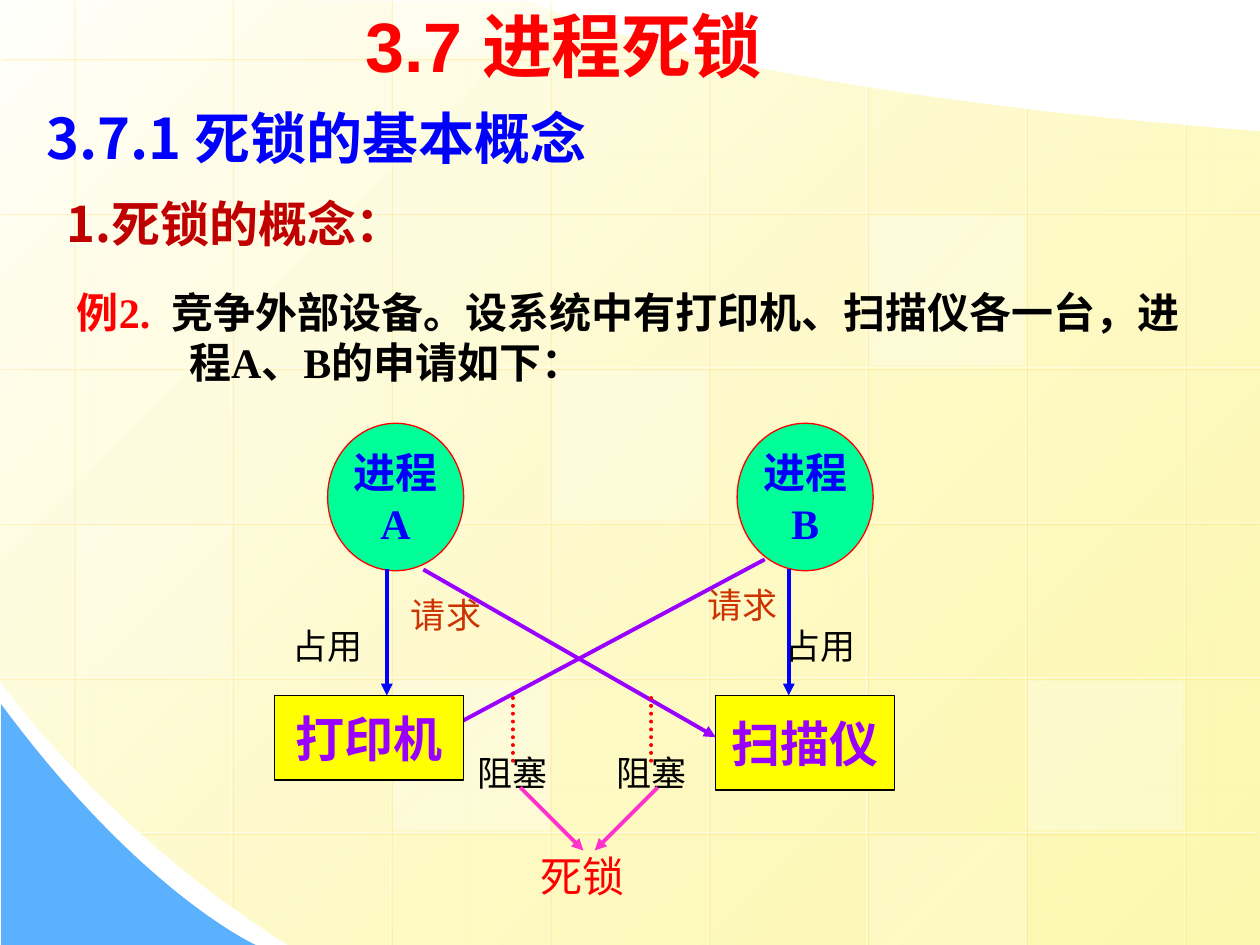
from lxml.etree import SubElement
from pptx import Presentation
from pptx.dml.color import RGBColor
from pptx.enum.dml import MSO_LINE
from pptx.enum.shapes import MSO_CONNECTOR, MSO_SHAPE
from pptx.enum.text import MSO_ANCHOR, MSO_AUTO_SIZE, PP_ALIGN
from pptx.oxml.ns import qn
from pptx.util import Inches, Pt

COLORS = {
    "white": "FFFFFF", "cream": "FFFFFB", "lemon": "FDF58D", "sky": "5CB1FE",
    "gold": "FFCC00", "red": "FF0000", "dark_red": "C00000", "rust": "CC3300",
    "blue": "0000FF", "purple": "9900FF", "pink": "FF33CC", "black": "000000",
    "yellow": "FFFF00", "green": "00FF99",
}
SERIF, SANS, CJK = "Times New Roman", "Arial", "Noto Sans CJK SC"


def rgb(name):
    return RGBColor.from_string(COLORS[name])


def set_alpha(fill_element, percent):
    for clr in fill_element.iter(qn("a:srgbClr")):
        SubElement(clr, qn("a:alpha"), val=str(percent * 1000))


def add_text(p, text, size=20, color="black", bold=False, font=SERIF):
    r = p.add_run()
    r.text = text
    r.font.size, r.font.bold, r.font.name = Pt(size), bold, font
    r.font.color.rgb = rgb(color)
    SubElement(r.font._element, qn("a:ea"), typeface=CJK)


def curve(p0, p1, p2, p3, steps=40):
    for i in range(1, steps + 1):
        t = i / steps
        u = 1 - t
        yield tuple(u**3 * a + 3 * u * u * t * b + 3 * u * t * t * c + t**3 * d
                    for a, b, c, d in zip(p0, p1, p2, p3))


class SlideBuilder:
    def __init__(self, prs):
        self.slide = prs.slides.add_slide(prs.slide_layouts[1])
        self.shapes = self.slide.shapes

    def outline(self, points):
        pts = [(Inches(x), Inches(y)) for x, y in points]
        builder = self.shapes.build_freeform(*pts[0])
        builder.add_line_segments(pts[1:], close=True)
        sp = builder.convert_to_shape()
        sp.shadow.inherit = False
        sp.line.fill.background()
        return sp

    def box(self, kind, x, y, w, h, fill, line=None, alpha=None):
        sp = self.shapes.add_shape(kind, Inches(x), Inches(y), Inches(w), Inches(h))
        sp.shadow.inherit = False
        sp.fill.solid()
        sp.fill.fore_color.rgb = rgb(fill)
        if alpha is not None:
            set_alpha(sp._element.spPr.find(qn("a:solidFill")), alpha)
        if line:
            sp.line.color.rgb = rgb(line)
            sp.line.width = Pt(0.75)
        else:
            sp.line.fill.background()
        return sp

    def node(self, kind, x, y, w, h, text, fill, line, **fmt):
        sp = self.box(kind, x, y, w, h, fill, line)
        self.fill_centered(sp.text_frame, text, bold=True, **fmt)

    def fill_centered(self, tf, text, **fmt):
        tf.word_wrap = False
        tf.vertical_anchor = MSO_ANCHOR.MIDDLE
        for i, part in enumerate(text.split("\n")):
            p = tf.add_paragraph() if i else tf.paragraphs[0]
            p.alignment = PP_ALIGN.CENTER
            add_text(p, part, **fmt)

    def label(self, center_x, center_y, text, size=20, **fmt):
        w, h = len(text) * size / 72 + 0.1, 0.5
        sp = self.shapes.add_textbox(Inches(center_x - w / 2),
                                     Inches(center_y - h / 2), Inches(w), Inches(h))
        tf = sp.text_frame
        tf.margin_left = tf.margin_right = tf.margin_top = tf.margin_bottom = 0
        self.fill_centered(tf, text, size=size, **fmt)

    def heading(self, x, y, w, h, runs, sp=None, anchor=MSO_ANCHOR.MIDDLE,
                hanging=0, spacing=1.0):
        if sp is None:
            sp = self.shapes.add_textbox(0, 0, 0, 0)
        self.shapes._spTree.append(sp._element)
        sp.left, sp.top, sp.width, sp.height = map(Inches, (x, y, w, h))
        tf = sp.text_frame
        tf.word_wrap = True
        tf.auto_size = MSO_AUTO_SIZE.NONE
        tf.vertical_anchor = anchor
        p = tf.paragraphs[0]
        pPr = p._p.get_or_add_pPr()
        pPr.set("marL", str(Inches(hanging)))
        pPr.set("indent", str(-Inches(hanging)))
        SubElement(pPr, qn("a:buNone"))
        p.alignment = PP_ALIGN.LEFT
        p.space_before = Pt(0)
        p.line_spacing = spacing
        for text, fmt in runs:
            add_text(p, text, bold=True, **fmt)

    def line(self, x1, y1, x2, y2, color, width=2.25, arrow=True, dash=None):
        c = self.shapes.add_connector(MSO_CONNECTOR.STRAIGHT, Inches(x1),
                                      Inches(y1), Inches(x2), Inches(y2))
        c.line.color.rgb = rgb(color)
        c.line.width = Pt(width)
        if dash:
            c.line.dash_style = dash
            c.line._get_or_add_ln().set("cap", "rnd")
        if arrow:
            SubElement(c.line._get_or_add_ln(), qn("a:tailEnd"), type="triangle")
        return c, SubElement(c._element.spPr, qn("a:effectLst"))

    def grid_line(self, *ends):
        c, effects = self.line(*ends, "white", width=0.75, arrow=False)
        set_alpha(c.line._get_or_add_ln(), 50)
        shadow = SubElement(effects, qn("a:outerShdw"), dist=str(Pt(1.4)),
                            dir="2700000", algn="ctr", rotWithShape="0")
        SubElement(shadow, qn("a:srgbClr"), val=COLORS["gold"])
        set_alpha(shadow, 34)

    def background(self):
        panel = self.outline([
            (10, 1.04), (10, 7.5), (2.3, 7.5),
            *curve((2.3, 7.5), (0.86, 6.61), (-0.01, 5.39), (0, 5.39)),
            (-0.01, -0.01), (4.21, 0.01),
            *curve((4.21, 0.01), (4.21, 0.01), (5.37, 0.69), (10, 1.04))])
        panel.fill.gradient()
        panel.fill.gradient_angle = 315
        for stop, color in zip(panel.fill.gradient_stops, ("cream", "lemon")):
            stop.color.rgb = rgb(color)
        set_alpha(panel._element.spPr.findall(".//" + qn("a:gs"))[1], 70)

        corner = self.outline([
            (0.01, 5.59), (0.01, 7.5), (2.03, 7.5),
            *curve((2.03, 7.5), (2.03, 7.5), (1.12, 7.09), (0.01, 5.59))])
        corner.fill.solid()
        corner.fill.fore_color.rgb = rgb("sky")

        x0, y0, dx, dy = 0.58, 0.46, 1.26, 1.23
        spans = [(0, 6.09), (0, 7.19), (0, 7.5), (0, 7.5),
                 (0.43, 7.5), (0.68, 7.5), (0.85, 7.5), (0.98, 7.5)]
        for i, (top, bottom) in enumerate(spans):
            self.grid_line(x0 + i * dx, top, x0 + i * dx, bottom)
        spans = [(5.68, 0), (10, 0), (10, 0), (10, 0), (10, 0), (9.97, 1.11)]
        for i, (right, left) in enumerate(spans):
            self.grid_line(right, y0 + i * dy, left, y0 + i * dy)
        for col, row, alpha in [(3, 2, 25), (6, 4, 30), (0, 3, 20), (5, 5, 20),
                                (2, -1, 40), (2, 4, 30), (5, 1, 30)]:
            top = max(0, y0 + row * dy + 0.02)
            bottom = min(7.5, y0 + (row + 1) * dy - 0.02)
            self.box(MSO_SHAPE.RECTANGLE, x0 + col * dx + 0.02, top, 1.23,
                     bottom - top, "white", alpha=alpha)


def main():
    prs = Presentation()
    prs.slide_width, prs.slide_height = Inches(10), Inches(7.5)
    s = SlideBuilder(prs)
    title, body = s.slide.placeholders
    s.background()

    s.heading(0.51, 2.22, 9.06, 0.9, [
        ("例2.  ", dict(size=24, color="red")),
        ("竞争外部设备。设系统中有打印机、扫描仪各一台，进程A、B的申请如下：", dict(size=24)),
    ], sp=body, anchor=MSO_ANCHOR.TOP, hanging=0.89)

    device = dict(fill="yellow", line="black", size=28, color="purple")
    s.node(MSO_SHAPE.RECTANGLE, 5.68, 5.52, 1.42, 0.75, "扫描仪", **device)
    for x, name in ((2.6, "A"), (5.85, "B")):
        s.node(MSO_SHAPE.OVAL, x, 3.36, 1.08, 1.17, "进程\n" + name,
               fill="green", line="red", size=24, color="blue")

    for x, label_x in ((3.07, 2.6), (6.26, 6.51)):
        s.line(x, 4.52, x, 5.52, "blue")
        s.label(label_x, 5.12, "占用")
    for ends, x, y in (((3.36, 4.52, 5.68, 5.85), 3.54, 4.88),
                       ((6.07, 4.44, 3.58, 5.77), 5.89, 4.8)):
        s.line(*ends, "purple")
        s.label(x, y, "请求", color="rust")
    for x in (4.07, 5.17):
        s.line(x, 5.54, x, 6.04, "red", arrow=False, dash=MSO_LINE.ROUND_DOT)
        s.label(x, 6.13, "阻塞")

    s.label(4.62, 6.95, "死锁", size=24, color="red")
    for start, end in ((4.13, 4.63), (5.22, 4.72)):
        s.line(start, 6.25, end, 6.75, "pink")
    s.node(MSO_SHAPE.RECTANGLE, 2.18, 5.52, 1.5, 0.67, "打印机", **device)

    s.heading(0.27, 0.73, 5.04, 0.71,
              [("3.7.1 死锁的基本概念", dict(size=32, color="blue", font=CJK))])
    s.heading(2.8, -0.03, 3.86, 0.76,
              [("3.7 进程死锁", dict(size=40, color="red", font=SANS))], sp=title)
    s.heading(0.43, 1.54, 4.8, 0.53,
              [("1.死锁的概念：", dict(size=28, color="dark_red", font=CJK))],
              anchor=MSO_ANCHOR.TOP, spacing=0.9)
    prs.save("out.pptx")


if __name__ == "__main__":
    main()
